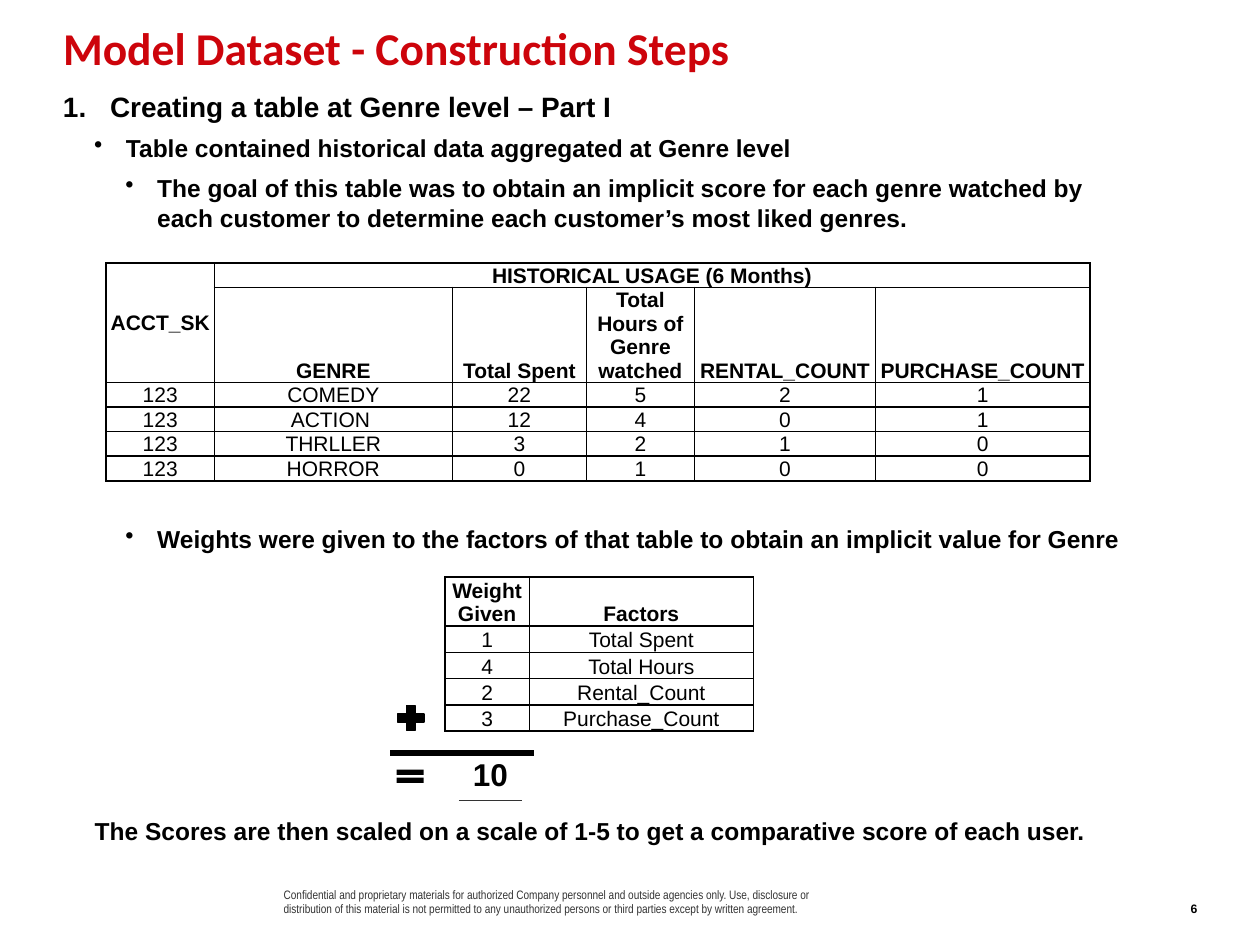
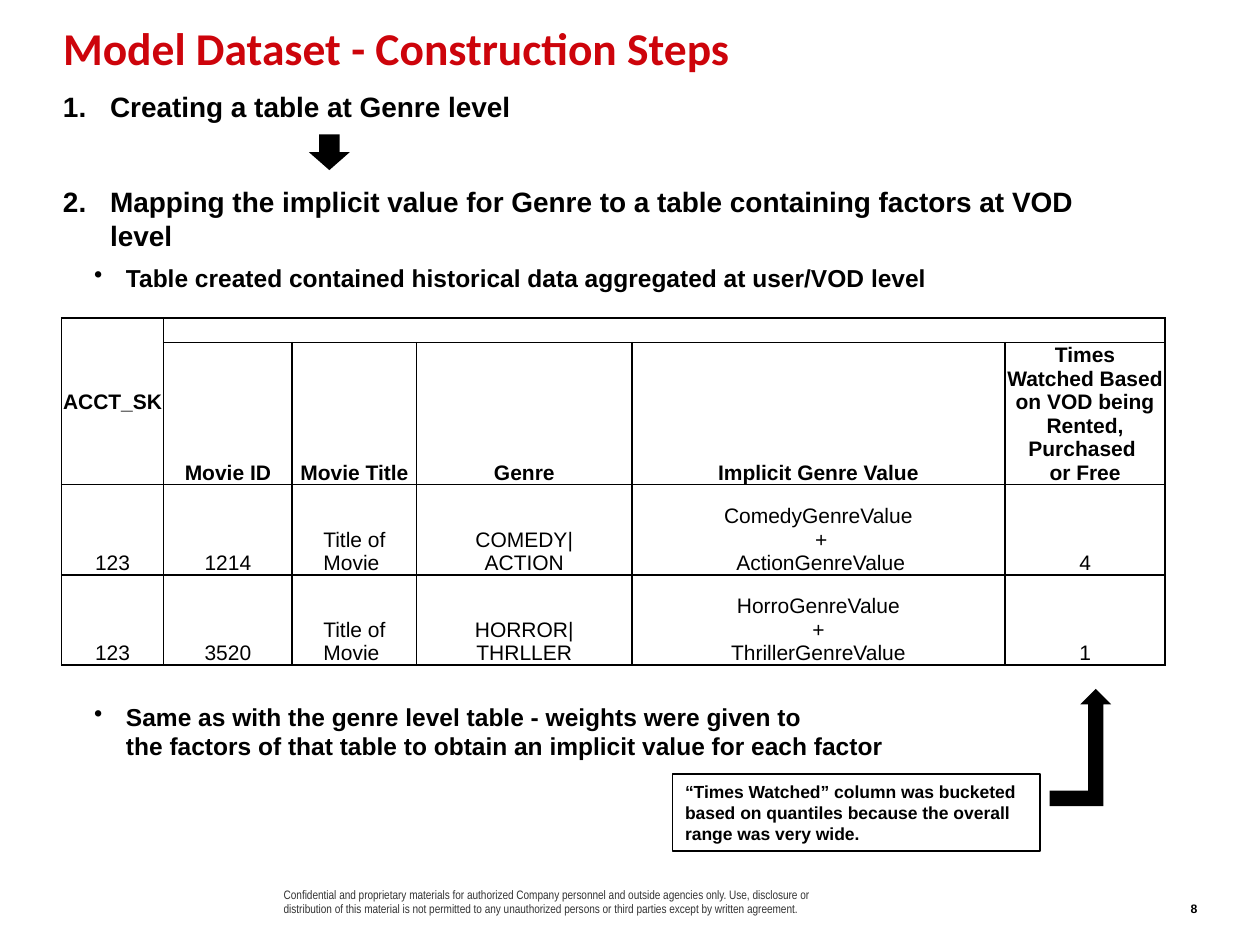
from dataclasses import dataclass
from lxml import etree
from pptx import Presentation
from pptx.dml.color import RGBColor
from pptx.enum.shapes import MSO_CONNECTOR, MSO_SHAPE
from pptx.enum.text import MSO_ANCHOR, MSO_AUTO_SIZE, PP_ALIGN
from pptx.oxml.ns import qn
from pptx.util import Cm, Pt

TOP, MIDDLE, BOTTOM = MSO_ANCHOR.TOP, MSO_ANCHOR.MIDDLE, MSO_ANCHOR.BOTTOM
LEFT, CENTER, RIGHT = PP_ALIGN.LEFT, PP_ALIGN.CENTER, PP_ALIGN.RIGHT
DOWN_ARROW, BENT_ARROW = MSO_SHAPE.DOWN_ARROW, MSO_SHAPE.BENT_UP_ARROW
PLUS, EQUAL, RECTANGLE = MSO_SHAPE.MATH_PLUS, MSO_SHAPE.MATH_EQUAL, MSO_SHAPE.RECTANGLE


@dataclass(frozen=True)
class Theme:
    red: str = "CD040B"
    black: str = "000000"
    grey: str = "333333"
    title_font: str = "Calibri"
    text_font: str = "Arial"
    footer_font: str = "Arial Narrow"
    title: int = 26
    total: int = 18
    heading: int = 16
    point: int = 14
    cell: int = 12
    note: int = 10
    footer: int = 7


THEME = Theme()

# Outline levels: size, left margin, first-line indent (cm), space before (pt), bullet
LEVELS = {
    "step": (THEME.heading, 0.95, -0.95, 9, None),
    "point": (THEME.point, 1.27, -0.64, 6, "•"),
    "detail": (THEME.point, 1.9, -0.64, 6, "•"),
    "plain": (THEME.point, 0.64, 0, 6, None),
}

# Shared content
TITLE = "Model Dataset - Construction Steps"
FOOTER = ("Confidential and proprietary materials for authorized Company personnel and "
          "outside agencies only. Use, disclosure or distribution of this material is not "
          "permitted to any unauthorized persons or third parties except by written agreement.")

# Outline blocks: top, height (cm), paragraphs (level, text, step number)
GENRE_OUTLINE = [
    (1.8, 3.1, [
        ("step", "Creating a table at Genre level – Part I", 1),
        ("point", "Table contained historical data aggregated at Genre level", None),
        ("detail", "The goal of this table was to obtain an implicit score for each genre watched "
                   "by each customer to determine each customer’s most liked genres.", None)]),
    (10.57, 0.6, [
        ("detail", "Weights were given to the factors of that table to obtain an implicit value "
                   "for Genre", None)]),
    (16.46, 0.6, [
        ("plain", "The Scores are then scaled on a scale of 1-5 to get a comparative score of "
                  "each user.", None)]),
]
VOD_OUTLINE = [
    (1.8, 0.7, [("step", "Creating a table at Genre level", 1)]),
    (3.73, 2.2, [
        ("step", "Mapping the implicit value for Genre to a table containing factors at VOD level", 2),
        ("point", "Table created contained historical data aggregated at user/VOD level", None)]),
    (14.15, 1.2, [
        ("point", "Same as with the genre level table - weights were given to \v"
                  "the factors of that table to obtain an implicit value for each factor", None)]),
]

# Tables: None marks a cell covered by a merged neighbour
USAGE = [
    ["ACCT_SK", "HISTORICAL USAGE (6 Months)", None, None, None, None],
    [None, "GENRE", "Total Spent", "Total Hours of Genre watched", "RENTAL_COUNT", "PURCHASE_COUNT"],
    ["123", "COMEDY", "22", "5", "2", "1"],
    ["123", "ACTION ", "12", "4", "0", "1"],
    ["123", "THRLLER", "3", "2", "1", "0"],
    ["123", "HORROR", "0", "1", "0", "0"],
]
USAGE_COLUMNS = [2.18, 4.8, 2.7, 2.18, 3.65, 4.32]
USAGE_ROWS = [0.49, 1.9] + [0.49] * 4

WEIGHTS = [
    ["Weight Given", "Factors"],
    ["1", "Total Spent"],
    ["4", "Total Hours"],
    ["2", "Rental_Count"],
    ["3", "Purchase_Count"],
]
WEIGHT_COLUMNS = [1.7, 4.52]
WEIGHT_ROWS = [0.99] + [0.53] * 4

MOVIES = [
    ["ACCT_SK", "", None, None, None, None],
    [None, "Movie ID", "Movie Title", "Genre", "Implicit Genre Value",
     "Times\nWatched Based on VOD being Rented,\nPurchased \nor Free"],
    ["123", "1214", "Title of Movie ", "COMEDY|\nACTION",
     "ComedyGenreValue\n +\n ActionGenreValue", "4"],
    ["123", "3520", "Title of Movie ", "HORROR|\nTHRLLER",
     "HorroGenreValue\n+\nThrillerGenreValue", "1"],
]
MOVIE_COLUMNS = [2.06, 2.59, 2.51, 4.34, 7.52, 3.23]
MOVIE_ROWS = [0.47, 2.86, 1.82, 1.82]

ACCOUNT_AND_BANNER = [((0, 0), (1, 0)), ((0, 1), (0, 5))]
BUCKET_NOTE = ("“Times Watched” column was bucketed based on quantiles because the overall "
               "range was very wide.")


# Text helpers
def set_font(paragraph, size, color=THEME.black, name=THEME.text_font, bold=True):
    font = paragraph.font
    font.name, font.size, font.bold = name, Pt(size), bold
    font.color.rgb = RGBColor.from_string(color)


def set_frame(frame, anchor=TOP, right=0):
    frame.word_wrap = True
    frame.auto_size = MSO_AUTO_SIZE.NONE
    frame.vertical_anchor = anchor
    frame.margin_left = frame.margin_top = frame.margin_bottom = 0
    frame.margin_right = Cm(right)


def add_text_frame(slide, box, anchor=TOP, right=0):
    frame = slide.shapes.add_textbox(*map(Cm, box)).text_frame
    set_frame(frame, anchor, right)
    return frame


def add_outline(slide, blocks):
    for top, height, items in blocks:
        frame = add_text_frame(slide, (1.27, top, 21.77, height))
        for index, (level, text, number) in enumerate(items):
            size, margin, indent, before, bullet = LEVELS[level]
            paragraph = frame.paragraphs[0] if index == 0 else frame.add_paragraph()
            paragraph.text = text
            if index:
                paragraph.space_before = Pt(before)
            props = paragraph._p.get_or_add_pPr()
            props.set("marL", str(Cm(margin)))
            props.set("indent", str(Cm(indent)))
            if number:
                etree.SubElement(props, qn("a:buAutoNum"), type="arabicPeriod", startAt=str(number))
            elif bullet:
                etree.SubElement(props, qn("a:buChar"), char=bullet)
            set_font(paragraph, size)


# Table helpers
def set_borders(cell, sides, color, width):
    props = cell._tc.get_or_add_tcPr()
    for position, side in enumerate("LRTB"):
        line = etree.Element(qn(f"a:ln{side}"), w=str(Pt(width)))
        if side in sides:
            fill = etree.SubElement(line, qn("a:solidFill"))
            etree.SubElement(fill, qn("a:srgbClr"), val=color)
        else:
            etree.SubElement(line, qn("a:noFill"))
        props.insert(position, line)


def add_plain_table(slide, left, top, columns, rows):
    box = map(Cm, (left, top, sum(columns), sum(rows)))
    table = slide.shapes.add_table(len(rows), len(columns), *box).table
    table.first_row = table.horz_banding = False
    for column, width in zip(table.columns, columns):
        column.width = Cm(width)
    for row, height in zip(table.rows, rows):
        row.height = Cm(height)
    return table


def add_grid(slide, left, top, columns, rows, content, header_rows=1, merges=()):
    table = add_plain_table(slide, left, top, columns, rows)
    for r, texts in enumerate(content):
        for c, text in enumerate(texts):
            cell = table.cell(r, c)
            cell.text = text or ""
            cell.fill.background()
            cell.margin_left = cell.margin_right = cell.margin_top = Cm(0.02)
            cell.margin_bottom = 0
            cell.vertical_anchor = BOTTOM
            set_borders(cell, "LRTB", THEME.black, 1)
            for paragraph in cell.text_frame.paragraphs:
                paragraph.alignment = CENTER
                set_font(paragraph, THEME.cell, bold=r < header_rows)
                if not text:
                    etree.SubElement(paragraph._p, qn("a:endParaRPr"), sz=str(THEME.cell * 100))
    for first, last in merges:
        table.cell(*first).merge(table.cell(*last))
    if merges:
        table.cell(0, 0).vertical_anchor = MIDDLE


def add_total(slide, left, top, text):
    cell = add_plain_table(slide, left, top, [1.27], [0.71]).cell(0, 0)
    cell.text = text
    cell.fill.background()
    set_borders(cell, "B", THEME.grey, 0.5)
    cell.text_frame.paragraphs[0].alignment = CENTER
    set_font(cell.text_frame.paragraphs[0], THEME.total)


# Shape helpers
def add_symbol(slide, kind, box, outlined=False):
    symbol = slide.shapes.add_shape(kind, *map(Cm, box))
    symbol.shadow.inherit = False
    symbol.fill.solid()
    symbol.fill.fore_color.rgb = RGBColor.from_string(THEME.black)
    if outlined:
        symbol.line.color.rgb = RGBColor.from_string(THEME.black)
        symbol.line.width = Pt(1)
    else:
        symbol.line.fill.background()


def add_sum_line(slide, left, right, y):
    rule = slide.shapes.add_connector(MSO_CONNECTOR.STRAIGHT, Cm(left), Cm(y), Cm(right), Cm(y))
    rule.line.color.rgb = RGBColor.from_string(THEME.black)
    rule.line.width = Pt(3)
    etree.SubElement(rule._element.spPr, qn("a:effectLst"))


def add_note(slide, box, text):
    note = slide.shapes.add_shape(RECTANGLE, *map(Cm, box))
    note.shadow.inherit = False
    note.fill.background()
    note.line.color.rgb = RGBColor.from_string(THEME.black)
    note.line.width = Pt(1)
    frame = note.text_frame
    frame.word_wrap, frame.vertical_anchor = True, TOP
    frame.text = text
    frame.paragraphs[0].alignment = LEFT
    set_font(frame.paragraphs[0], THEME.note)


# Slides
def add_base_slide(deck, number, outline):
    slide = deck.slides.add_slide(deck.slide_layouts[5])
    title = slide.shapes.title
    title.left, title.top, title.width, title.height = map(Cm, (1.27, 0.53, 19.69, 1.27))
    set_frame(title.text_frame)
    title.text_frame.text = TITLE
    heading = title.text_frame.paragraphs[0]
    heading.alignment, heading.line_spacing = LEFT, 0.9
    set_font(heading, THEME.title, THEME.red, THEME.title_font)

    footer = add_text_frame(slide, (5.72, 17.83, 11.23, 0.64), BOTTOM, right=0.51)
    footer.text = FOOTER
    set_font(footer.paragraphs[0], THEME.footer, THEME.grey, THEME.footer_font, bold=False)

    page = add_text_frame(slide, (23.5, 17.83, 0.64, 0.64), BOTTOM)
    page.text = str(number)
    page.paragraphs[0].alignment = RIGHT
    set_font(page.paragraphs[0], THEME.footer)

    add_outline(slide, outline)
    return slide


def add_genre_slide(deck):
    slide = add_base_slide(deck, 6, GENRE_OUTLINE)
    add_grid(slide, 2.14, 5.3, USAGE_COLUMNS, USAGE_ROWS, USAGE, 2, ACCOUNT_AND_BANNER)
    add_grid(slide, 8.97, 11.63, WEIGHT_COLUMNS, WEIGHT_ROWS, WEIGHTS)
    add_symbol(slide, PLUS, (7.92, 14.13, 0.72, 0.69), outlined=True)
    add_sum_line(slide, 7.87, 10.77, 15.18)
    add_symbol(slide, EQUAL, (7.9, 15.42, 0.74, 0.46))
    add_total(slide, 9.25, 15.16, "10")


def add_vod_slide(deck):
    slide = add_base_slide(deck, 8, VOD_OUTLINE)
    add_symbol(slide, DOWN_ARROW, (6.23, 2.71, 0.82, 0.72))
    add_grid(slide, 1.24, 6.41, MOVIE_COLUMNS, MOVIE_ROWS, MOVIES, 2, ACCOUNT_AND_BANNER)
    add_note(slide, (13.56, 15.61, 7.4, 1.55), BUCKET_NOTE)
    add_symbol(slide, BENT_ARROW, (21.16, 13.89, 1.24, 2.36))


def main():
    deck = Presentation()
    deck.slide_width, deck.slide_height = Cm(25.4), Cm(19.05)
    add_genre_slide(deck)
    add_vod_slide(deck)
    deck.save("out.pptx")


if __name__ == "__main__":
    main()
